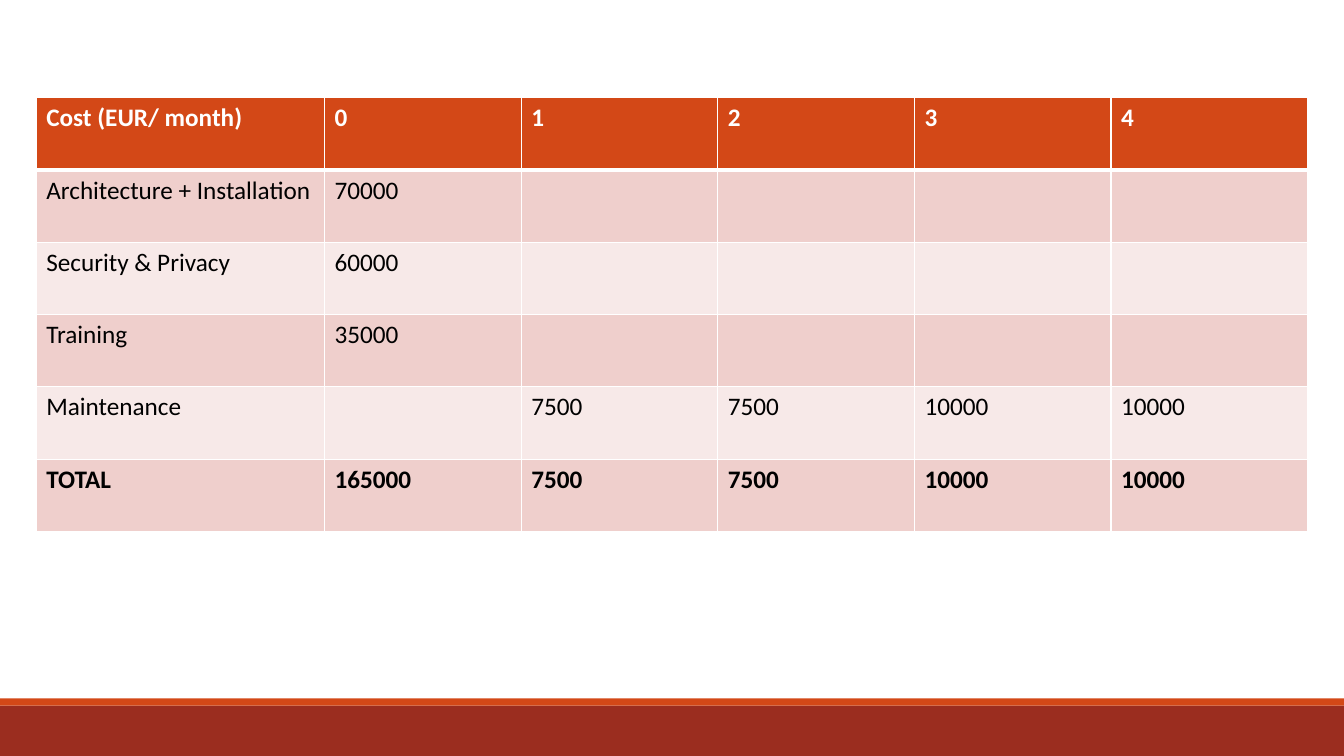
from lxml.etree import SubElement
from pptx import Presentation
from pptx.dml.color import RGBColor
from pptx.enum.shapes import MSO_SHAPE
from pptx.oxml.ns import qn
from pptx.util import Inches, Pt

WHITE = RGBColor(0xFF, 0xFF, 0xFF)
BLACK = RGBColor(0x00, 0x00, 0x00)
ORANGE = RGBColor(0xD3, 0x48, 0x17)
DARK_RED = RGBColor(0x9B, 0x2D, 0x1F)
ROSE = RGBColor(0xEF, 0xCF, 0xCC)
PALE_ROSE = RGBColor(0xF7, 0xE9, 0xE8)

FONT = "Calibri"
LABEL_WIDTH = 2.86
MONTH_WIDTH = 1.95
ROW_HEIGHT = 0.717
COSTS = [
    ["Cost (EUR/ month)", "0", "1", "2", "3", "4"],
    ["Architecture +\u00a0Installation", "70000", "", "", "", ""],
    ["Security & Privacy", "60000", "", "", "", ""],
    ["Training", "35000", "", "", "", ""],
    ["Maintenance", "", "7500", "7500", "10000", "10000"],
    ["TOTAL", "165000", "7500", "7500", "10000", "10000"],
]


def add_bar(slide, top, height, color):
    bar = slide.shapes.add_shape(
        MSO_SHAPE.RECTANGLE, 0, Inches(top), Inches(13.33), Inches(height))
    bar.shadow.inherit = False
    bar.fill.solid()
    bar.fill.fore_color.rgb = color
    bar.line.fill.background()


def write_text(text_frame, text, size=18, color=BLACK, bold=False):
    paragraph = text_frame.paragraphs[0]
    paragraph.font.size = Pt(size)
    if text:
        run = paragraph.add_run()
        run.text = text
        run.font.name = FONT
        run.font.size = Pt(size)
        run.font.bold = bold
        run.font.color.rgb = color


def set_borders(cell, **widths):
    properties = cell._tc.get_or_add_tcPr()
    for side in ("L", "R", "T", "B"):
        width = Pt(widths.get(side, 1))
        line = SubElement(properties, qn(f"a:ln{side}"), w=str(width))
        fill = SubElement(line, qn("a:solidFill"))
        SubElement(fill, qn("a:srgbClr"), val=str(WHITE))


def format_cell(cell, text, row, last_row):
    is_header = row == 0
    set_borders(cell, T=3 if row == 1 else 1, B=3 if is_header else 1)
    cell.fill.solid()
    banding = ROSE if row % 2 else PALE_ROSE
    cell.fill.fore_color.rgb = ORANGE if is_header else banding
    write_text(cell.text_frame, text,
               color=WHITE if is_header else BLACK,
               bold=row in (0, last_row))


def add_cost_table(slide, left, top):
    row_count, column_count = len(COSTS), len(COSTS[0])
    width = LABEL_WIDTH + MONTH_WIDTH * (column_count - 1)
    table = slide.shapes.add_table(
        row_count, column_count, Inches(left), Inches(top),
        Inches(width), Inches(ROW_HEIGHT * row_count)).table
    for index, column in enumerate(table.columns):
        column.width = Inches(MONTH_WIDTH if index else LABEL_WIDTH)
    for row, values in enumerate(COSTS):
        table.rows[row].height = Inches(ROW_HEIGHT)
        for column, text in enumerate(values):
            format_cell(table.cell(row, column), text, row, row_count - 1)


def main():
    presentation = Presentation()
    presentation.slide_width = Inches(13.33)
    presentation.slide_height = Inches(7.5)
    slide = presentation.slides.add_slide(presentation.slide_layouts[6])
    add_bar(slide, 7, 0.5, DARK_RED)
    add_bar(slide, 6.93, 0.07, ORANGE)
    add_cost_table(slide, 0.36, 0.97)
    presentation.save("out.pptx")


if __name__ == "__main__":
    main()
